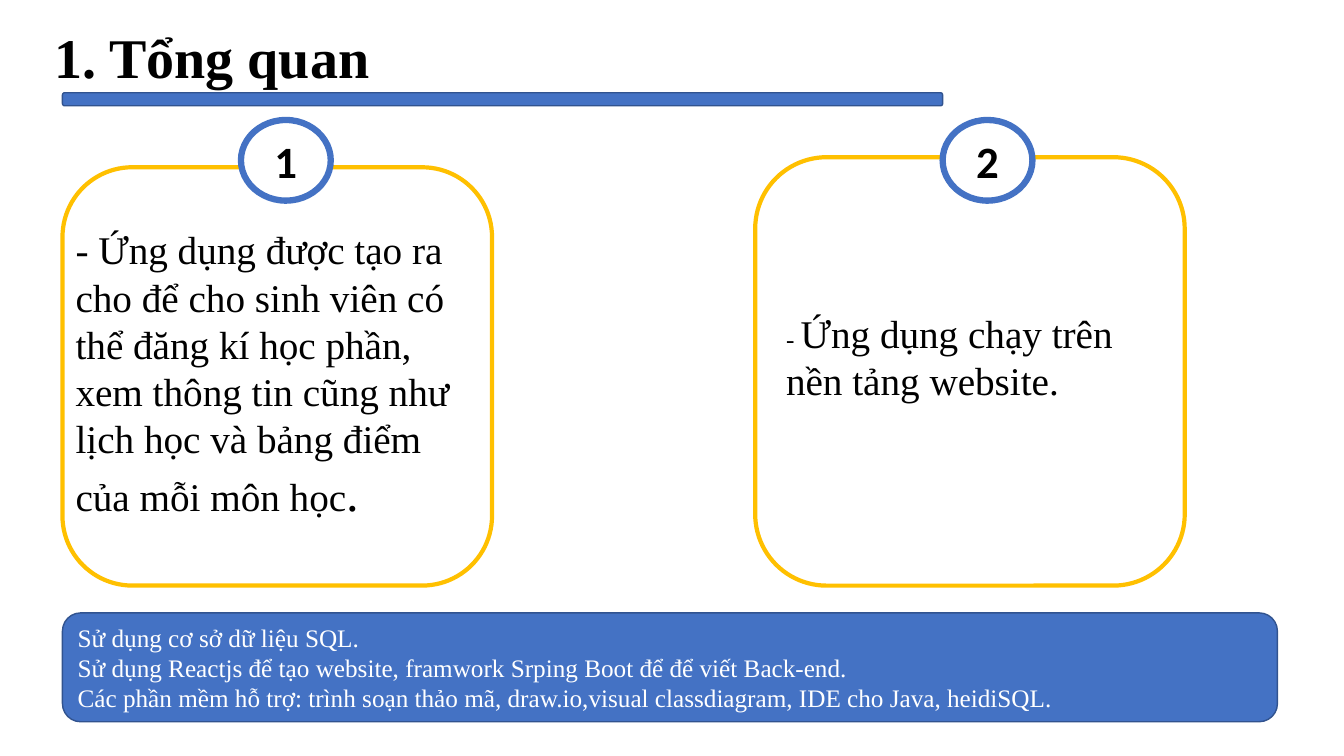
"""Build the overview slide with two numbered cards and a tools panel."""
from dataclasses import dataclass

from lxml import etree
from pptx import Presentation
from pptx import util as u
from pptx.dml.color import RGBColor
from pptx.enum import shapes, text
from pptx.oxml.ns import qn


@dataclass(frozen=True)
class Theme:
    """Colours, fonts and type sizes of the slide."""
    white: str = "FFFFFF"
    black: str = "000000"
    blue: str = "4472C4"
    navy: str = "31538F"
    gold: str = "FFC000"
    serif: str = "Times New Roman"
    sans: str = "Calibri"
    title: int = 40
    stop: int = 36
    badge: int = 32
    body: int = 28
    small: int = 18


@dataclass(frozen=True)
class Box:
    """Place on a grid of 100 columns by 100 rows."""
    col: float
    row: float
    wide: float
    high: float


@dataclass(frozen=True)
class Run:
    """Words in one type style."""
    words: str
    size: int
    color: str
    face: str
    bold: bool = False


@dataclass(frozen=True)
class Panel:
    """Outlined shape with its text lines."""
    box: Box
    fill: str
    edge: str
    weight: float
    lines: tuple[tuple[Run, ...], ...] = ()
    kind: shapes.MSO_SHAPE = shapes.MSO_SHAPE.ROUNDED_RECTANGLE
    align: text.PP_ALIGN = text.PP_ALIGN.LEFT
    foot: float = 0.05


LOOK = Theme()
WIDE, HIGH = u.Inches(13.33), u.Inches(7.5)
LEFT, CARD = 4.65, 31.96


def place(shape, box: Box) -> None:
    """Move a shape to its grid box."""
    shape.left, shape.top = int(WIDE * box.col / 100), int(HIGH * box.row / 100)
    shape.width, shape.height = int(WIDE * box.wide / 100), int(HIGH * box.high / 100)


def write(frame, lines: tuple[tuple[Run, ...], ...], align: text.PP_ALIGN,
          space: float = 1.0) -> None:
    """Fill a text frame and format its runs."""
    frame.word_wrap = True
    frame.text = "\n".join("".join(run.words for run in line) for line in lines)
    for para, line in zip(frame.paragraphs, lines):
        para.alignment, para.line_spacing = align, space
        para.space_before = para.space_after = u.Pt(0)
        para.runs[0].text = line[0].words
        for extra in line[1:]:
            para.add_run().text = extra.words
        for part, run in zip(para.runs, line):
            font = part.font
            font.name, font.size, font.bold = run.face, u.Pt(run.size), run.bold
            font.color.rgb = RGBColor.from_string(run.color)


def draw(slide, panel: Panel) -> None:
    """Draw one panel with its text."""
    shape = slide.shapes.add_shape(panel.kind, 0, 0, 0, 0)
    place(shape, panel.box)
    shape.shadow.inherit = False
    shape.fill.solid()
    shape.fill.fore_color.rgb = RGBColor.from_string(panel.fill)
    shape.line.color.rgb = RGBColor.from_string(panel.edge)
    shape.line.width = u.Pt(panel.weight)
    if panel.lines:
        frame = shape.text_frame
        frame.vertical_anchor = text.MSO_ANCHOR.MIDDLE
        frame.margin_bottom = u.Inches(panel.foot)
        write(frame, panel.lines, panel.align)


def fill(holder, box: Box, line: tuple[Run, ...], anchor: text.MSO_ANCHOR,
         space: float = 1.0) -> None:
    """Move and fill a template placeholder, without bullets."""
    place(holder, box)
    frame = holder.text_frame
    frame.auto_size = text.MSO_AUTO_SIZE.NONE
    frame.vertical_anchor = anchor
    frame.margin_left = frame.margin_right = u.Inches(0.13)
    frame.margin_top = frame.margin_bottom = u.Inches(0.13)
    write(frame, (line,), text.PP_ALIGN.LEFT, space)
    for para in frame.paragraphs:
        props = para._p.get_or_add_pPr()
        props.set("marL", "0")
        props.set("indent", "0")
        etree.SubElement(props, qn("a:buNone"))


def serif(words: str, size: int, color: str = LOOK.black, bold: bool = False) -> Run:
    """Make a run in the serif face."""
    return Run(words, size, color, LOOK.serif, bold)


def badge(label: str, col: float) -> Panel:
    """Make a numbered circle."""
    run = Run(label, LOOK.badge, LOOK.black, LOOK.sans, True)
    return Panel(Box(col, 15.87, 6.68, 10.67), LOOK.white, LOOK.blue, 4.5, ((run,),),
                 shapes.MSO_SHAPE.OVAL, text.PP_ALIGN.CENTER)


CARDS = (
    Panel(Box(56.19, 20.8, CARD, 56.67), LOOK.white, LOOK.gold, 3,
          ((serif("- ", LOOK.small),
            serif("Ứng dụng chạy trên nền tảng website.", LOOK.body)),), foot=0.35),
    Panel(Box(LEFT, 22.13, CARD, 55.33), LOOK.white, LOOK.gold, 3),
)
TOOLS = (
    "Sử dụng cơ sở dữ liệu SQL.",
    "Sử dụng Reactjs để tạo website, framwork Srping Boot để để viết Back-end.",
    "Các phần mềm hỗ trợ: trình soạn thảo mã, draw.io,visual classdiagram, "
    "IDE cho Java, heidiSQL.",
)
MARKS = (
    badge("1", 17.93),
    badge("2", 70.14),
    Panel(Box(LEFT, 12.27, 65.49, 1.73), LOOK.blue, LOOK.navy, 1),
    Panel(Box(LEFT, 81.07, 90.4, 14.4), LOOK.blue, LOOK.navy, 1,
          tuple((serif(tool, LOOK.small, LOOK.white),) for tool in TOOLS)),
)
GOAL = (
    serif("- Ứng dụng được tạo ra cho để cho sinh viên có thể đăng kí học phần, "
          "xem thông tin cũng như lịch học và bảng điểm của mỗi môn học", LOOK.body),
    serif(".", LOOK.stop),
)


def main() -> None:
    """Build and save the slide."""
    deck = Presentation()
    deck.slide_width, deck.slide_height = WIDE, HIGH
    slide = deck.slides.add_slide(deck.slide_layouts[1])
    title, body = slide.placeholders
    fill(title, Box(3.08, 3.73, 51.76, 8.53),
         (serif("1. Tổng quan", LOOK.title, bold=True),), text.MSO_ANCHOR.MIDDLE, 0.9)
    fill(body, Box(LEFT, 28.13, CARD, 48.93), GOAL, text.MSO_ANCHOR.TOP)
    for card in CARDS:
        draw(slide, card)
    slide.shapes.element.append(body.element)
    for mark in MARKS:
        draw(slide, mark)
    deck.save("out.pptx")


if __name__ == "__main__":
    main()
